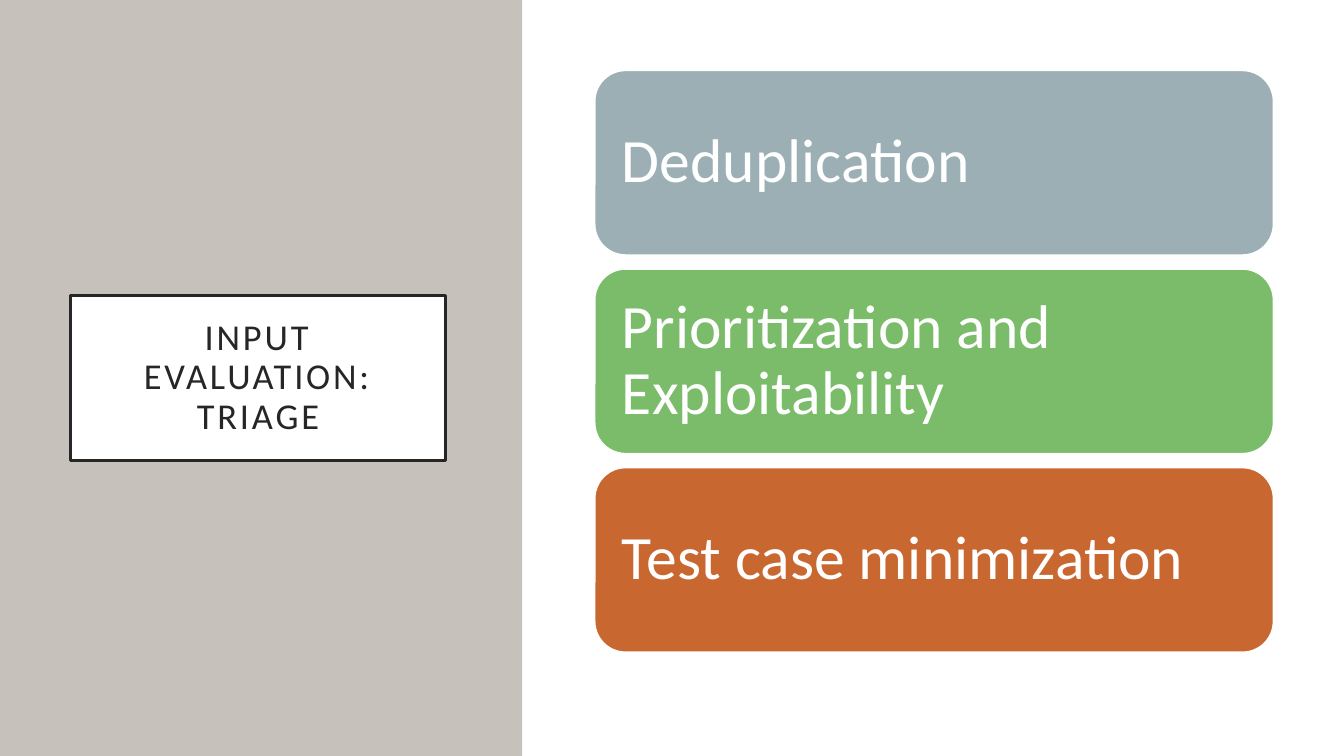
from pptx import Presentation
from pptx.dml.color import RGBColor
from pptx.enum import shapes, text
from pptx.util import Inches, Pt

FONT = "Calibri"
WHITE = RGBColor(0xFF, 0xFF, 0xFF)
INK = RGBColor(0x26, 0x26, 0x26)
STONE = RGBColor(0xC6, 0xC1, 0xBA)
SLATE = RGBColor(0x9B, 0xAF, 0xB5)
GREEN = RGBColor(0x7A, 0xBC, 0x69)
RUST = RGBColor(0xC9, 0x67, 0x31)

STEPS = [
    ("Deduplication", SLATE),
    ("Prioritization and Exploitability", GREEN),
    ("Test case minimization", RUST),
]
CARD_TOP, CARD_PITCH = 0.7, 1.97


def set_text(sp, content, size, color, align, inset, spacing=0):
    tf = sp.text_frame
    tf.word_wrap = True
    tf.auto_size = text.MSO_AUTO_SIZE.NONE
    tf.vertical_anchor = text.MSO_ANCHOR.MIDDLE
    tf.margin_left = tf.margin_right = Inches(inset)
    tf.margin_top = tf.margin_bottom = Inches(inset)
    p = tf.paragraphs[0]
    p.alignment = align
    p.line_spacing = 0.9
    r = p.add_run()
    r.text = content
    r.font.name = FONT
    r.font.size = Pt(size)
    r.font.color.rgb = color
    if spacing:
        r.font._element.set("spc", str(spacing * 100))


def paint(sp, fill, line=None, width=1):
    sp.fill.solid()
    sp.fill.fore_color.rgb = fill
    if line is None:
        sp.line.fill.background()
    else:
        sp.line.color.rgb = line
        sp.line.width = Pt(width)


def add_box(s, kind, left, top, width, height):
    sp = s.shapes.add_shape(
        kind, Inches(left), Inches(top), Inches(width), Inches(height))
    sp.shadow.inherit = False
    return sp


def add_side_panel(s):
    sp = add_box(s, shapes.MSO_SHAPE.RECTANGLE, 0, 0, 5.18, 7.5)
    paint(sp, STONE)
    s.shapes._spTree.insert(2, sp._element)


def format_title(s, content):
    sp = s.shapes.title
    sp.left, sp.top = Inches(0.7), Inches(2.93)
    sp.width, sp.height = Inches(3.72), Inches(1.64)
    paint(sp, WHITE, INK, 2.5)
    set_text(sp, content, 26, INK, text.PP_ALIGN.CENTER, 0.2, spacing=2)


def add_card(s, top, label, color):
    sp = add_box(s, shapes.MSO_SHAPE.ROUNDED_RECTANGLE, 5.9, top, 6.73, 1.83)
    paint(sp, color, WHITE)
    set_text(sp, label, 44, WHITE, text.PP_ALIGN.LEFT, 0.18)


def main():
    prs = Presentation()
    prs.slide_width, prs.slide_height = Inches(13.33), Inches(7.5)
    s = prs.slides.add_slide(prs.slide_layouts.get_by_name("Title Only"))
    add_side_panel(s)
    format_title(s, "INPUT EVALUATION: TRIAGE")
    for i, (label, color) in enumerate(STEPS):
        add_card(s, CARD_TOP + i * CARD_PITCH, label, color)
    prs.save("out.pptx")


if __name__ == "__main__":
    main()
